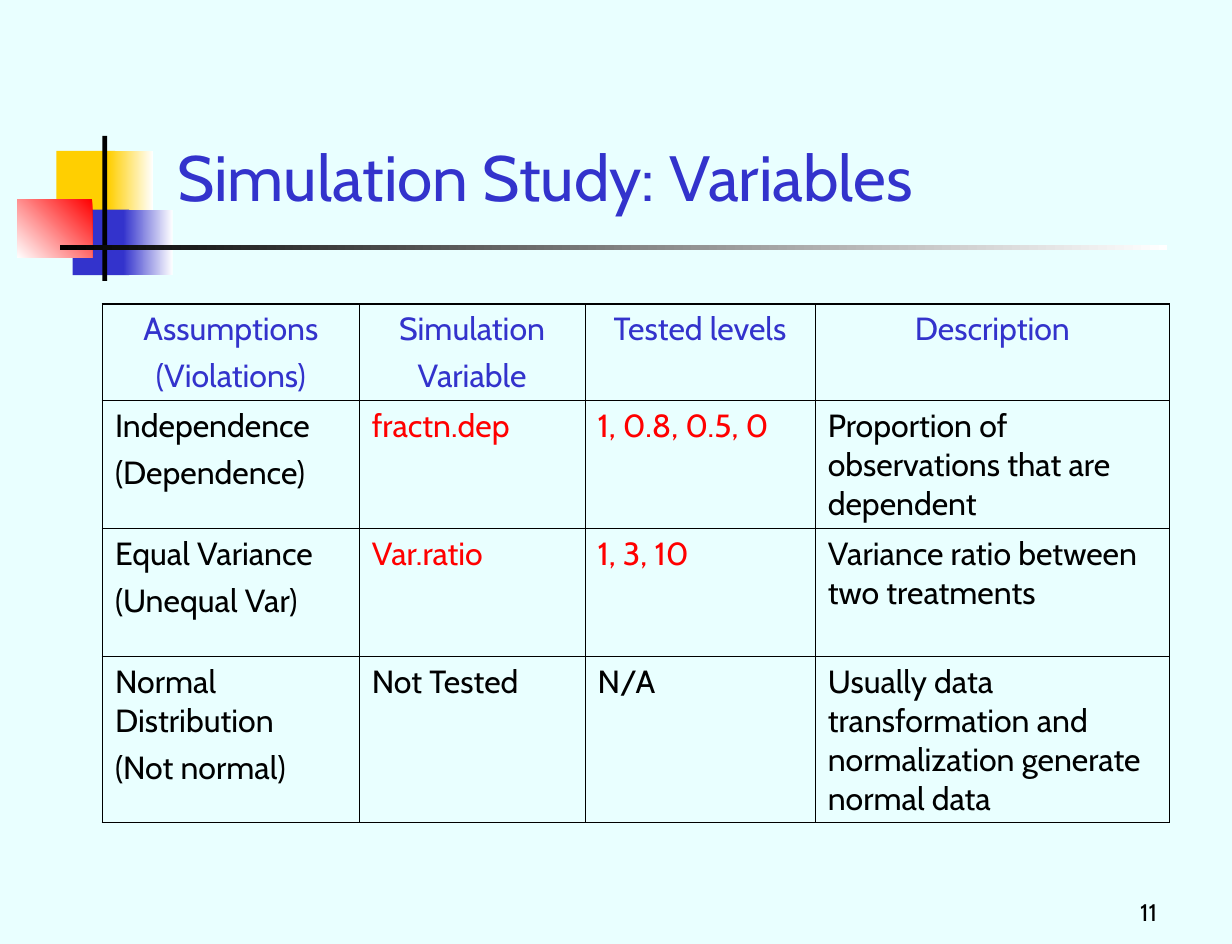
from dataclasses import dataclass
from lxml.etree import SubElement
from pptx import Presentation
from pptx.dml.color import RGBColor as Color
from pptx.enum.shapes import MSO_SHAPE as Preset
from pptx.enum.text import MSO_ANCHOR as Anchor, PP_ALIGN as Align
from pptx.oxml.ns import qn
from pptx.util import Pt


@dataclass(frozen=True)
class Theme:
    font: str = "Cabin"
    background: str = "E9FFFF"
    ink: str = "000000"
    white: str = "FFFFFF"
    blue: str = "3333CC"
    yellow: str = "FFCF01"
    red: str = "FF0000"
    title_size: float = 40
    table_size: float = 20
    number_size: float = 15
    outer_border: float = 1.08
    inner_border: float = 0.45


THEME = Theme()
HEADERS = ["Assumptions\n(Violations)", "Simulation\nVariable",
           "Tested levels", "Description"]
ASSUMPTIONS = [
    ["Independence\n(Dependence)", "fractn.dep", "1, 0.8, 0.5, 0",
     "Proportion of observations that are dependent"],
    ["Equal Variance\n(Unequal Var)", "Var.ratio", "1, 3, 10",
     "Variance ratio between two treatments"],
    ["Normal Distribution\n(Not normal)", "Not Tested", "N/A",
     "Usually data transformation and normalization generate normal data"],
]
COLUMN_WIDTHS = [160.6, 141.1, 144, 221.7]
ROW_HEIGHTS = [60.5, 80, 80, 103.7]


def write(frame, text, size, color=THEME.ink, align=Align.LEFT,
          anchor=Anchor.TOP, space_before=0):
    """Write one paragraph per line of text."""
    frame.word_wrap = True
    frame.vertical_anchor = anchor
    for index, line in enumerate(text.split("\n")):
        para = frame.add_paragraph() if index else frame.paragraphs[0]
        para.alignment = align
        para.space_before = Pt(space_before)
        span = para.add_run()
        span.text = line
        span.font.name = THEME.font
        span.font.size = Pt(size)
        span.font.color.rgb = Color.from_string(color)


def add_text(page, box, text, size, **text_format):
    left, top, width, height = box
    frame = page.shapes.add_textbox(Pt(left), Pt(top), Pt(width), Pt(height)).text_frame
    frame.margin_left = frame.margin_right = Pt(7.9)
    frame.margin_top = frame.margin_bottom = Pt(3.6)
    write(frame, text, size, anchor=Anchor.BOTTOM, **text_format)


def add_block(page, box, start, end=None, angle=180):
    """Add a plain rectangle, or a gradient one when an end colour is given."""
    left, top, width, height = box
    block = page.shapes.add_shape(Preset.RECTANGLE, Pt(left), Pt(top), Pt(width), Pt(height))
    block.shadow.inherit = False
    block.line.fill.background()
    if end is None:
        block.fill.solid()
        block.fill.fore_color.rgb = Color.from_string(start)
        return
    block.fill.gradient()
    block.fill.gradient_angle = angle
    for stop, color, position in zip(block.fill.gradient_stops, (start, end), (0, 1)):
        stop.color.rgb = Color.from_string(color)
        stop.position = position


def draw_emblem(page, box):
    """Overlapping colour blocks with a crossing bar and a fading rule."""
    left, top, width, height = box
    # Yellow and blue blocks, each fading out to the right
    for color, x, y, solid_width, fade_x, fade_width in [
        (THEME.yellow, 24.5, 9.4, 36.7, 56.9, 28.1),
        (THEME.blue, 34.6, 46.1, 35.3, 66.2, 31),
    ]:
        add_block(page, (left + x, top + y, solid_width, 41), color)
        add_block(page, (left + fade_x, top + y, fade_width, 41), THEME.white, color)
    # Red block, fading towards its lower left corner
    add_block(page, (left, top + 39.6, 46.8, 36.7), THEME.red, THEME.white, angle=225)
    # Vertical bar and horizontal rule
    add_block(page, (left + 53.3, top, 2.9, height), THEME.ink)
    add_block(page, (left + 26.6, top + 68.4, width - 26.6, 2.9), THEME.white, THEME.ink)


def set_borders(cell, outer_sides):
    properties = cell._tc.get_or_add_tcPr()
    for index, side in enumerate("LRTB"):
        weight = THEME.outer_border if side in outer_sides else THEME.inner_border
        line = SubElement(properties, qn(f"a:ln{side}"), w=str(Pt(weight)))
        fill = SubElement(line, qn("a:solidFill"))
        SubElement(fill, qn("a:srgbClr"), val=THEME.ink)
        properties.insert(index, line)


def draw_table(page, box):
    left, top, width, height = box
    rows = [HEADERS] + ASSUMPTIONS
    last_row, last_column = len(rows) - 1, len(HEADERS) - 1
    table = page.shapes.add_table(len(rows), len(HEADERS), Pt(left), Pt(top),
                                  Pt(width), Pt(height)).table
    table.first_row = table.horz_banding = False
    for column, column_width in zip(table.columns, COLUMN_WIDTHS):
        column.width = Pt(column_width)
    for row, row_height in zip(table.rows, ROW_HEIGHTS):
        row.height = Pt(row_height)

    for r, texts in enumerate(rows):
        for c, text in enumerate(texts):
            cell = table.cell(r, c)
            cell.fill.background()
            cell.margin_left = cell.margin_right = Pt(7.9)
            cell.margin_top = cell.margin_bottom = Pt(3.6)
            # Tested variables and their levels stand out in red
            tested = r < last_row and 0 < c < last_column
            color = THEME.blue if r == 0 else THEME.red if tested else THEME.ink
            write(cell.text_frame, text, THEME.table_size, color=color,
                  align=Align.LEFT if r else Align.CENTER, space_before=5)
            edges = {"L": c == 0, "R": c == last_column, "T": r == 0, "B": r == last_row}
            set_borders(cell, [side for side, outer in edges.items() if outer])


def build_variables_slide(deck):
    page = deck.slides.add_slide(deck.slide_layouts[6])
    page.background.fill.solid()
    page.background.fill.fore_color.rgb = Color.from_string(THEME.background)
    draw_emblem(page, (10.8, 85, 719.2, 90.7))
    add_text(page, (103, 65.5, 610, 72), "Simulation Study: Variables",
             THEME.title_size, color=THEME.blue)
    draw_table(page, (64.1, 190.1, sum(COLUMN_WIDTHS), sum(ROW_HEIGHTS)))
    add_text(page, (673.9, 557.3, 57.6, 25.9), "11", THEME.number_size, align=Align.RIGHT)


def main():
    deck = Presentation()
    deck.slide_width, deck.slide_height = Pt(770.4), Pt(590.4)
    build_variables_slide(deck)
    deck.save("out.pptx")


if __name__ == "__main__":
    main()
